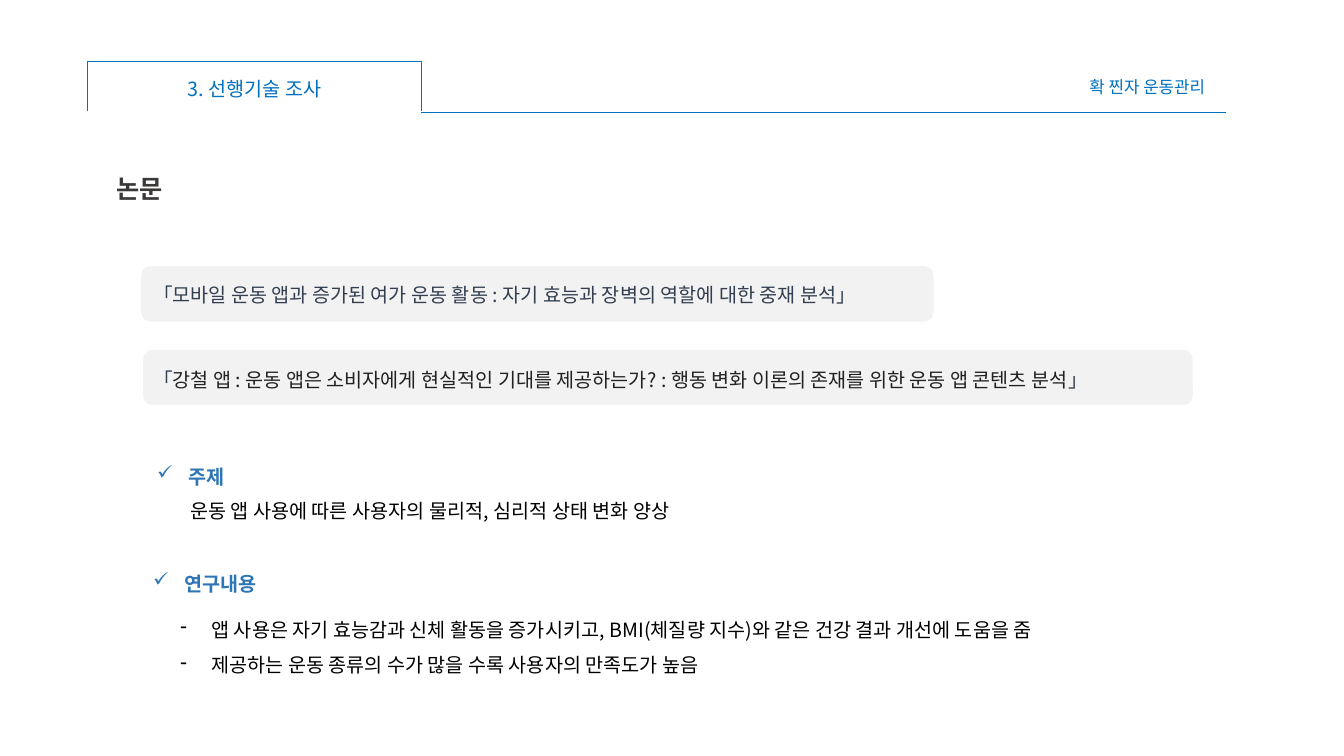
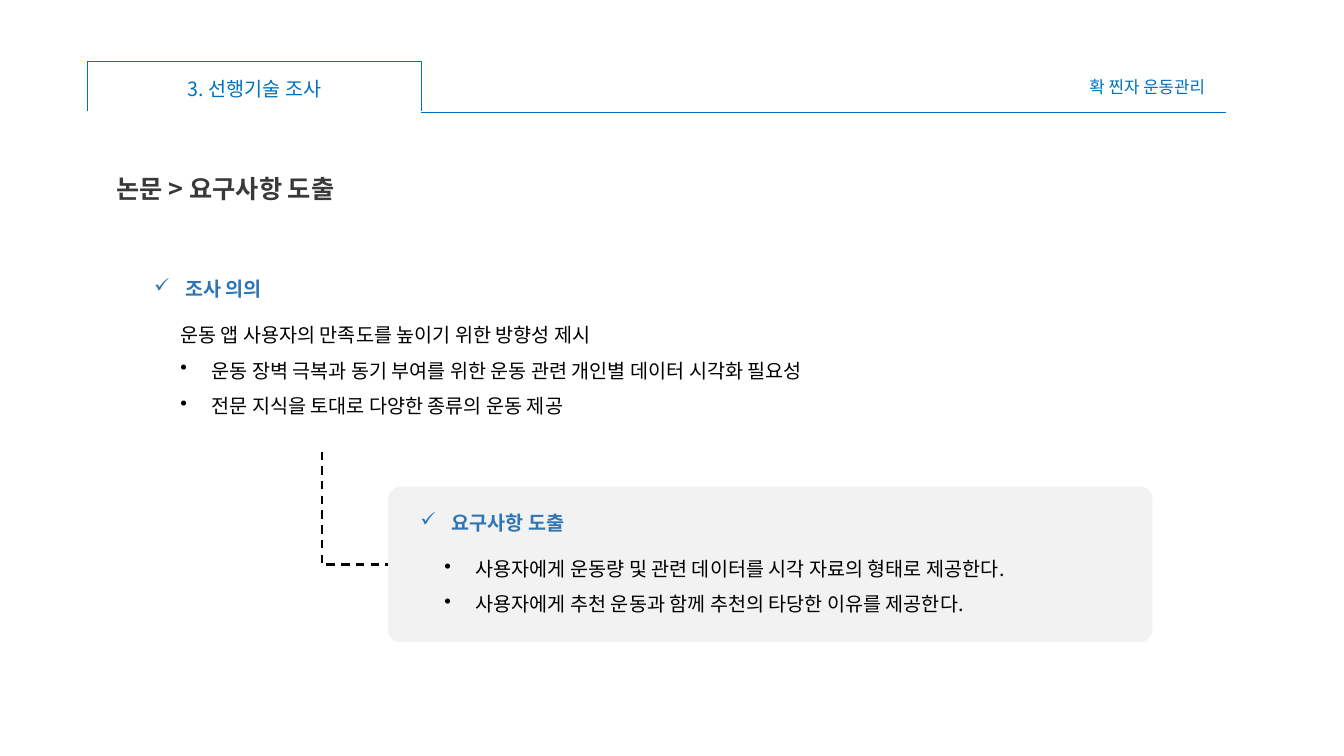
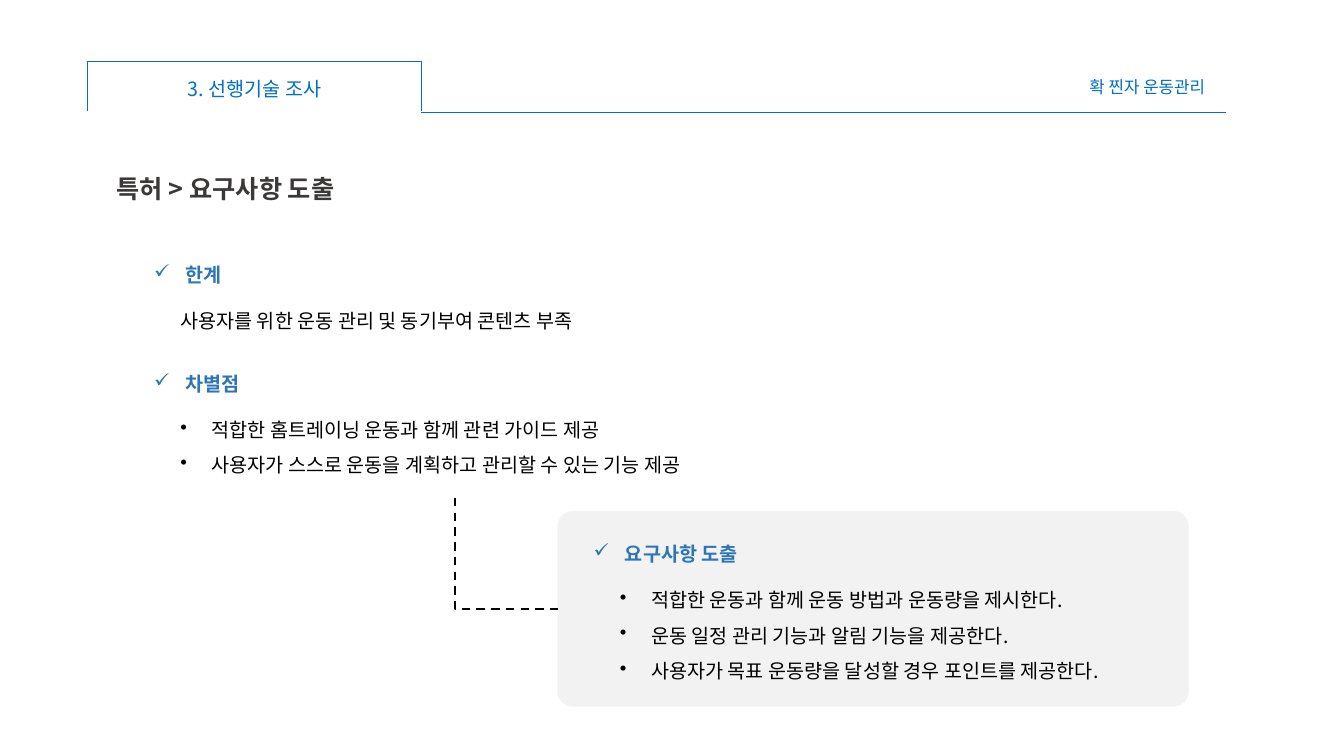
from dataclasses import dataclass

from lxml.etree import SubElement
from pptx import Presentation
from pptx.dml.color import RGBColor
from pptx.enum.dml import MSO_LINE
from pptx.enum.shapes import MSO_CONNECTOR, MSO_SHAPE
from pptx.enum.text import MSO_AUTO_SIZE, PP_ALIGN
from pptx.oxml.ns import qn
from pptx.util import Inches, Pt


# Theme
@dataclass(frozen=True)
class Theme:
    font: str = "Noto Sans CJK KR"
    blue: str = "0070C0"
    card: str = "F2F2F2"
    black: str = "000000"
    quote: str = "333F50"
    paper: str = "212121"
    right_edge: float = 12.16
    indent: float = 0.31
    body_drop: float = 0.34


THEME = Theme()
STYLES = {
    "tab": {"size": Pt(14), "color": THEME.blue},
    "project": {"size": Pt(12), "color": THEME.blue},
    "title": {"size": Pt(18), "bold": True, "color": "3B3838"},
    "heading": {"size": Pt(14), "bold": True, "color": "2E75B6"},
    "body": {"size": Pt(14), "color": THEME.black},
}

# Content
TAB = "3. 선행기술 조사"
PROJECT = "확 찐자 운동관리"

# cards: left, top, width, height, corner
# quotes: left, top, coloured runs
# sections: left, top, heading, body left, line spacing, (bullet, text) lines
# branch: start of the dashed line that leads to the first card
SLIDES = [
    {
        "title": "논문",
        "cards": [(1.42, 3.47, 10.41, 0.55, 0.167), (1.4, 2.64, 7.86, 0.55, 0.167)],
        "quotes": [
            (1.42, 2.76, [("「모바일 운동 앱과 증가된 여가 운동 활동 : 자기 효능과 장벽의 역할에 대한 중재 분석」", THEME.quote)]),
            (1.42, 3.6, [
                ("「", THEME.quote),
                ("강철 앱 : 운동 앱은 소비자에게 현실적인 기대를 제공하는가? : 행동 변화 이론의 존재를 위한 운동 앱 콘텐츠 분석", THEME.paper),
                ("」", THEME.quote),
            ]),
        ],
        "sections": [
            (1.46, 4.56, "주제", 1.79, 1, [
                (None, "운동 앱 사용에 따른 사용자의 물리적, 심리적 상태 변화 양상"),
            ]),
            (1.42, 5.62, "연구내용", 1.69, 1.5, [
                ("-", "앱 사용은 자기 효능감과 신체 활동을 증가시키고, BMI(체질량 지수)와 같은 건강 결과 개선에 도움을 줌"),
                ("-", "제공하는 운동 종류의 수가 많을 수록 사용자의 만족도가 높음"),
            ]),
        ],
    },
    {
        "title": "논문 > 요구사항 도출",
        "cards": [(3.85, 4.83, 7.58, 1.54, 0.077)],
        "branch": (3.19, 4.48),
        "sections": [
            (1.43, 2.7, "조사 의의", 1.69, 1.5, [
                (None, "운동 앱 사용자의 만족도를 높이기 위한 방향성 제시"),
                ("•", "운동 장벽 극복과 동기 부여를 위한 운동 관련 개인별 데이터 시각화 필요성"),
                ("•", "전문 지식을 토대로 다양한 종류의 운동 제공"),
            ]),
            (4.07, 5.02, "요구사항 도출", 4.31, 1.5, [
                ("•", "사용자에게 운동량 및 관련 데이터를 시각 자료의 형태로 제공한다."),
                ("•", "사용자에게 추천 운동과 함께 추천의 타당한 이유를 제공한다."),
            ]),
        ],
    },
    {
        "title": "특허 > 요구사항 도출",
        "cards": [(5.53, 5.07, 6.26, 1.94, 0.077)],
        "branch": (4.51, 4.94),
        "sections": [
            (1.43, 2.56, "한계", 1.69, 1.5, [
                (None, "사용자를 위한 운동 관리 및 동기부여 콘텐츠 부족"),
            ]),
            (1.43, 3.64, "차별점", 1.69, 1.5, [
                ("•", "적합한 홈트레이닝 운동과 함께 관련 가이드 제공"),
                ("•", "사용자가 스스로 운동을 계획하고 관리할 수 있는 기능 제공"),
            ]),
            (5.79, 5.33, "요구사항 도출", 6.05, 1.5, [
                ("•", "적합한 운동과 함께 운동 방법과 운동량을 제시한다."),
                ("•", "운동 일정 관리 기능과 알림 기능을 제공한다."),
                ("•", "사용자가 목표 운동량을 달성할 경우 포인트를 제공한다."),
            ]),
        ],
    },
]


# Text
def add_run(paragraph, text, style, color=None):
    run = paragraph.add_run()
    run.text = text
    run.font.name = THEME.font
    SubElement(run.font._element, qn("a:ea"), typeface=THEME.font)
    values = dict(STYLES[style])
    run.font.color.rgb = RGBColor.from_string(color or values["color"])
    del values["color"]
    for name, value in values.items():
        setattr(run.font, name, value)


def set_bullet(paragraph, mark):
    properties = paragraph._p.get_or_add_pPr()
    properties.set("marL", str(Inches(THEME.indent)))
    properties.set("indent", str(-Inches(THEME.indent)))
    SubElement(properties, qn("a:buChar"), char=mark)


def add_text(slide, box, style, lines, spacing=1, align=PP_ALIGN.LEFT, wrap=True):
    """Each line is a bullet mark (or None) and a list of (text, colour) runs."""
    frame = slide.shapes.add_textbox(*map(Inches, box)).text_frame
    frame.word_wrap = wrap
    frame.auto_size = MSO_AUTO_SIZE.SHAPE_TO_FIT_TEXT
    for number, (mark, runs) in enumerate(lines):
        paragraph = frame.add_paragraph() if number else frame.paragraphs[0]
        paragraph.alignment = align
        paragraph.line_spacing = spacing
        if mark:
            set_bullet(paragraph, mark)
        for text, color in runs:
            add_run(paragraph, text, style, color)


# Shapes and lines
def style_line(line, color, width):
    line.color.rgb = RGBColor.from_string(color)
    line.width = Pt(width)


def add_connector(slide, kind, begin, end, color, width):
    connector = slide.shapes.add_connector(kind, *map(Inches, (*begin, *end)))
    style_line(connector.line, color, width)
    SubElement(connector._element.spPr, qn("a:effectLst"))
    return connector


def add_card(slide, left, top, width, height, corner):
    card = slide.shapes.add_shape(
        MSO_SHAPE.ROUNDED_RECTANGLE, *map(Inches, (left, top, width, height)))
    card.adjustments[0] = corner
    card.shadow.inherit = False
    card.fill.solid()
    card.fill.fore_color.rgb = RGBColor.from_string(THEME.card)
    card.line.fill.background()


def add_branch(slide, start, card):
    """Dashed line down from start, then right to the middle of the card's side."""
    x, y = start
    run = card[0] - x
    drop = card[1] + card[3] / 2 - y
    # The frame lies on its side around the same centre, turned by 270 degrees
    left = x + (run - drop) / 2
    top = y + (drop - run) / 2
    branch = add_connector(slide, MSO_CONNECTOR.ELBOW, (left + drop, top),
                           (left, top + run), THEME.black, 1.5)
    branch.line.dash_style = MSO_LINE.DASH
    properties = branch._element.spPr
    properties.find(qn("a:xfrm")).set("rot", str(270 * 60000))
    properties.find(qn("a:prstGeom")).set("prst", "bentConnector2")


# Shared header
def add_header(slide, title):
    tab = slide.shapes.add_shape(
        MSO_SHAPE.RIGHT_BRACKET, *map(Inches, (2.27, -0.8, 0.5, 3.31)))
    tab.rotation = 270
    tab.adjustments[0] = 0
    tab.shadow.inherit = False
    tab.fill.background()
    style_line(tab.line, THEME.blue, 0.5)
    add_connector(slide, MSO_CONNECTOR.STRAIGHT, (4.18, 1.11),
                  (THEME.right_edge, 1.11), THEME.blue, 0.5)
    for box, style, text in (((1.69, 0.71, 1.67, 0.34), "tab", TAB),
                             ((10.6, 0.71, 1.56, 0.3), "project", PROJECT)):
        add_text(slide, box, style, [(None, [(text, None)])],
                 align=PP_ALIGN.CENTER, wrap=False)
    add_text(slide, (1.06, 1.67, 6.27, 0.4), "title", [(None, [(title, None)])])


def add_section(slide, left, top, heading, body_left, spacing, lines):
    add_text(slide, (left, top, 2.11, 0.34), "heading", [("✓", [(heading, None)])])
    height = 0.34 if spacing == 1 else 0.05 + 0.36 * len(lines)
    box = (body_left, top + THEME.body_drop, THEME.right_edge - body_left, height)
    add_text(slide, box, "body",
             [(mark, [(text, None)]) for mark, text in lines], spacing)


def main():
    deck = Presentation()
    deck.slide_width, deck.slide_height = Inches(13.33), Inches(7.5)
    for content in SLIDES:
        slide = deck.slides.add_slide(deck.slide_layouts[6])
        for card in content["cards"]:
            add_card(slide, *card)
        if "branch" in content:
            add_branch(slide, content["branch"], content["cards"][0])
        add_header(slide, content["title"])
        for left, top, runs in content.get("quotes", []):
            add_text(slide, (left, top, THEME.right_edge - left, 0.34), "body",
                     [(None, runs)])
        for section in content["sections"]:
            add_section(slide, *section)
    deck.save("out.pptx")


if __name__ == "__main__":
    main()
